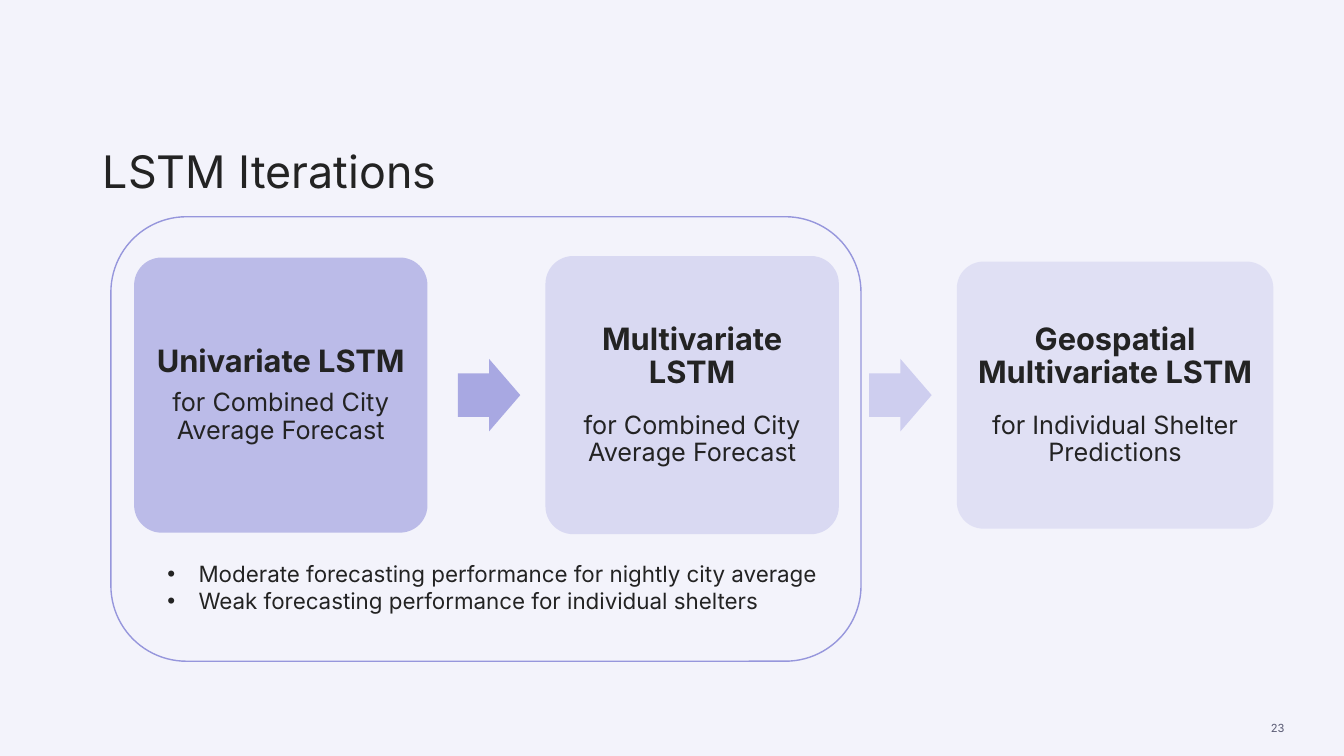
from pptx import Presentation
from pptx.dml.color import RGBColor
from pptx.enum.shapes import MSO_SHAPE as Preset
from pptx.enum.text import MSO_ANCHOR as Anchor, MSO_AUTO_SIZE as AutoSize, PP_ALIGN as Align
from pptx.oxml.ns import qn
from pptx.util import Inches, Pt
from lxml import etree

FONT = "Inter"
INK = "232323"
VIOLET = "9696DC"
LAVENDER = "CECEEF"
CARD_CENTER = 3.92


def color(hex_code):
    """Turn a hex string into a colour."""
    return RGBColor.from_string(hex_code)


def place(shape, left, top, width, height):
    """Move and size a shape, in inches."""
    shape.left, shape.top = Inches(left), Inches(top)
    shape.width, shape.height = Inches(width), Inches(height)


def write(paragraph, text, size, bold=False, ink=INK, align=Align.LEFT,
          line_spacing=1.0, space_after=0, bullet=None):
    """Fill a paragraph with formatted text."""
    paragraph.text = text
    paragraph.alignment = align
    paragraph.line_spacing = line_spacing
    paragraph.space_before = Pt(0)
    paragraph.space_after = Pt(space_after)
    if bullet:
        properties = paragraph._p.get_or_add_pPr()
        properties.set("marL", str(Inches(0.31)))
        properties.set("indent", str(-Inches(0.31)))
        etree.SubElement(properties, qn("a:buFont"), typeface="Arial")
        etree.SubElement(properties, qn("a:buChar"), char=bullet)
    font = paragraph.font
    font.name, font.size, font.bold = FONT, Pt(size), bold
    font.color.rgb = color(ink)


def prepare(frame, anchor, inset_x=0.1, inset_y=0.05):
    """Set wrapping, anchor and insets of a text frame."""
    frame.word_wrap = True
    frame.auto_size = AutoSize.NONE
    frame.vertical_anchor = anchor
    frame.margin_left = frame.margin_right = Inches(inset_x)
    frame.margin_top = frame.margin_bottom = Inches(inset_y)


def add_block(slide, preset, box, adjustments, fill=None, opacity=100, outline=None):
    """Add a preset shape with an optional translucent fill or outline."""
    block = slide.shapes.add_shape(preset, *map(Inches, box))
    block.shadow.inherit = False
    for index, value in enumerate(adjustments):
        block.adjustments[index] = value
    if fill:
        block.fill.solid()
        block.fill.fore_color.rgb = color(fill)
        if opacity < 100:
            fill_color = block._element.spPr.find(qn("a:solidFill"))[0]
            etree.SubElement(fill_color, qn("a:alpha"), val=str(opacity * 1000))
    else:
        block.fill.background()
    if outline:
        block.line.color.rgb = color(outline)
        block.line.width = Pt(1)
    else:
        block.line.fill.background()
    return block


def add_card(slide, left, width, height, fill, opacity, model, scope, gap):
    """Add a rounded card naming a model and its scope."""
    box = (left, CARD_CENTER - height / 2, width, height)
    card = add_block(slide, Preset.ROUNDED_RECTANGLE, box, [0.1], fill, opacity)
    frame = card.text_frame
    prepare(frame, Anchor.MIDDLE, 0.09, 0.09)
    write(frame.paragraphs[0], model, 22, bold=True, align=Align.CENTER,
          line_spacing=0.9, space_after=gap)
    write(frame.add_paragraph(), scope, 18, align=Align.CENTER, line_spacing=0.9)


def add_arrow(slide, left, fill, opacity):
    """Add a block arrow between two cards."""
    box = (left, CARD_CENTER - 0.36, 0.62, 0.72)
    add_block(slide, Preset.RIGHT_ARROW, box, [0.6, 0.5], fill, opacity)


def add_title(slide, text):
    """Place and fill the title."""
    title = slide.shapes.title
    place(title, 0.92, 0.95, 9.4, 1.06)
    prepare(title.text_frame, Anchor.BOTTOM)
    write(title.text_frame.paragraphs[0], text, 32)


def add_findings(slide, findings):
    """Place and fill the bulleted list."""
    body = slide.placeholders[1]
    place(body, 1.56, 5.51, 6.73, 0.67)
    frame = body.text_frame
    prepare(frame, Anchor.TOP)
    for index, finding in enumerate(findings):
        paragraph = frame.add_paragraph() if index else frame.paragraphs[0]
        write(paragraph, finding, 16, bullet="•")


def add_page_number(slide, number):
    """Add the page number at the lower right."""
    page = slide.shapes.add_textbox(*map(Inches, (10.52, 6.94, 2.32, 0.56)))
    prepare(page.text_frame, Anchor.MIDDLE)
    write(page.text_frame.paragraphs[0], number, 8, ink="5C5D76", align=Align.RIGHT)


def main():
    """Build and save the slide."""
    deck = Presentation()
    deck.slide_width, deck.slide_height = Inches(13.33), Inches(7.5)
    slide = deck.slides.add_slide(deck.slide_layouts[1])
    slide.background.fill.solid()
    slide.background.fill.fore_color.rgb = color("F3F3FB")

    add_title(slide, "LSTM Iterations")
    city = "for Combined City Average Forecast"
    add_card(slide, 1.33, 2.91, 2.73, VIOLET, 60, "Univariate LSTM", city, 8)
    add_arrow(slide, 4.54, VIOLET, 80)
    add_card(slide, 5.41, 2.91, 2.76, LAVENDER, 70, "Multivariate LSTM", city, 16)
    add_arrow(slide, 8.62, LAVENDER, 100)
    add_card(slide, 9.49, 3.14, 2.65, LAVENDER, 50, "Geospatial Multivariate LSTM",
             "for Individual Shelter Predictions", 16)
    add_block(slide, Preset.ROUNDED_RECTANGLE, (1.1, 2.15, 7.44, 4.41), [0.17],
              outline=VIOLET)
    add_findings(slide, ["Moderate forecasting performance for nightly city average",
                         "Weak forecasting performance for individual shelters"])
    add_page_number(slide, "23")
    deck.save("out.pptx")


if __name__ == "__main__":
    main()
